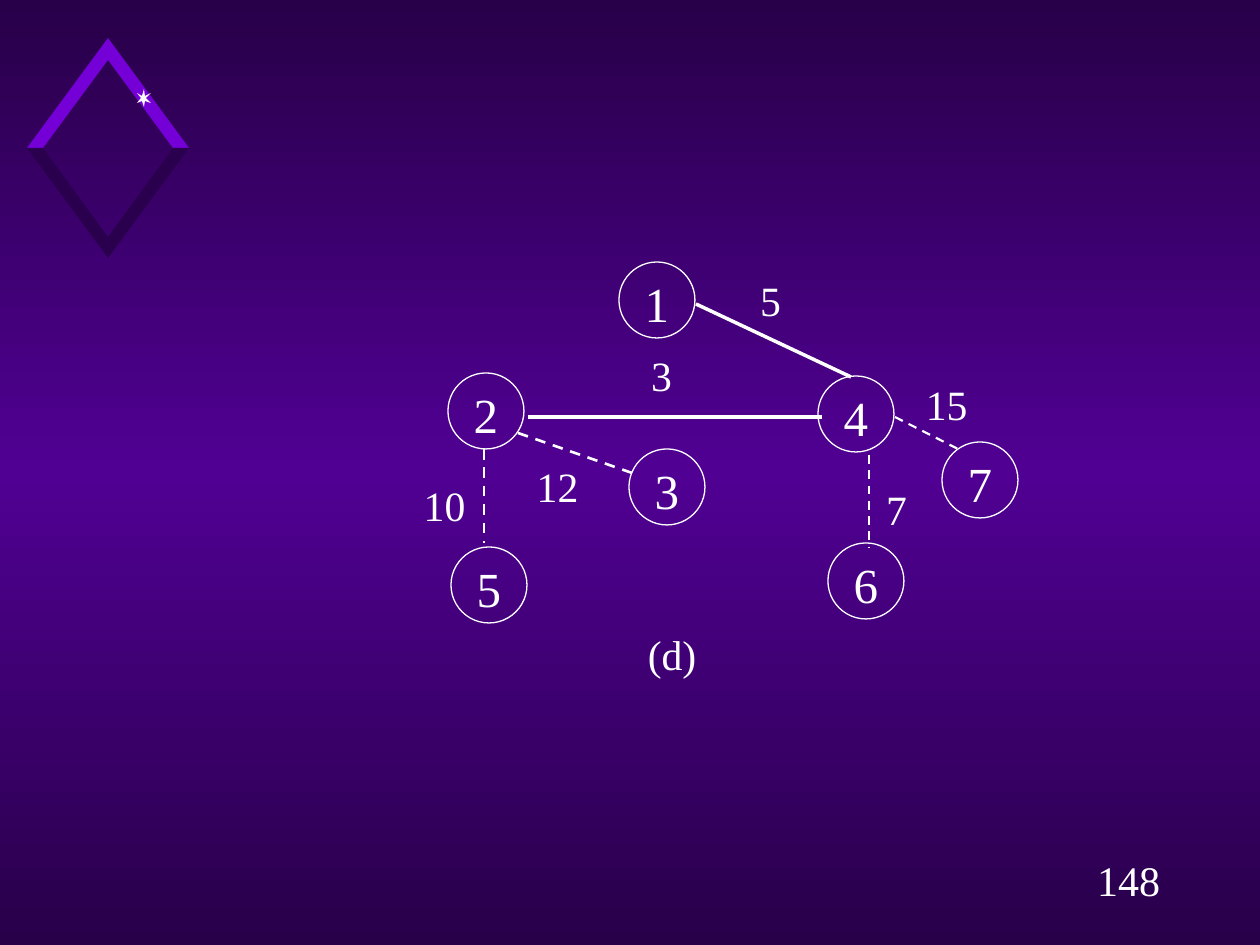
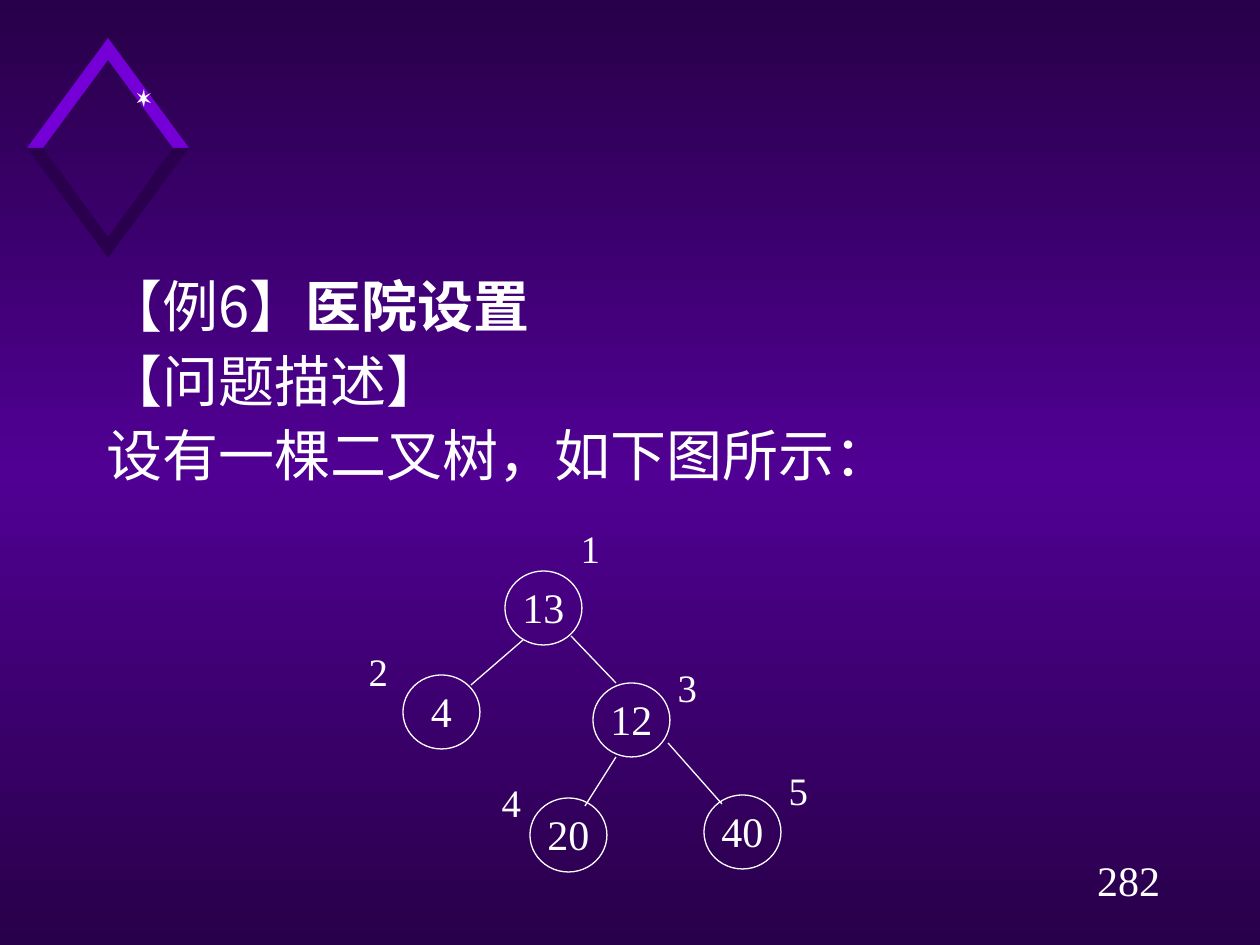
"""Build two slides: a weighted graph and a binary tree exercise."""
from copy import deepcopy

from lxml import etree
from pptx import Presentation
from pptx import util as u
from pptx.dml.color import RGBColor
from pptx.enum import dml, shapes, text
from pptx.oxml import ns

PX = u.Inches(1) / 126
WHITE, DARK, MIDDLE = "FFFFFF", "280049", "500093"
UPPER, LOWER, SPARKLE = "7500D7", "2A004E", "F9F9F9"
SERIF, SANS = "Times New Roman", "Noto Sans CJK SC"
CENTER, JUSTIFY, LEFT = text.PP_ALIGN.CENTER, text.PP_ALIGN.JUSTIFY, text.PP_ALIGN.LEFT
DASH = dml.MSO_LINE.DASH


def paint(fill, color):
    fill.solid()
    fill.fore_color.rgb = RGBColor.from_string(color)


def write(paragraph, words, size=24, font=SERIF, align=CENTER, bold=False):
    paragraph.alignment = align
    run = paragraph.add_run()
    run.text = words
    run.font.size, run.font.bold, run.font.name = u.Pt(size), bold, font
    paint(run.font.fill, WHITE)
    east_asian = etree.SubElement(run.font._element, ns.qn("a:ea"))
    east_asian.set("typeface", font)


deck = Presentation()
deck.slide_width, deck.slide_height = u.Inches(10), u.Inches(7.5)

backdrop = deck.slide_master.background.fill
backdrop.gradient()
backdrop.gradient_angle = 90
stop_list = deck.slide_master.element.find(".//" + ns.qn("a:gsLst"))
stop_list.append(deepcopy(stop_list[0]))
for stop, position, shade in zip(backdrop.gradient_stops, (0, 0.5, 1), (DARK, MIDDLE, DARK)):
    stop.position = position
    stop.color.rgb = RGBColor.from_string(shade)

emblem = []
for side in (1, -1):
    inner, outer = 108 + side * 65, 108 + side * 81
    emblem.append((UPPER, [(108, 60), (108, 38), (outer, 148), (inner, 148)]))
    emblem.append((LOWER, [(inner, 148), (outer, 148), (108, 258), (108, 237)]))
emblem.append((SPARKLE, [
    (137, 93), (142, 96), (144, 89), (145, 96), (151, 93), (146, 98),
    (151, 103), (145, 101), (144, 107), (142, 101), (137, 103), (141, 98)]))

graph = {
    "number": "148",
    "layout": 6,
    "labels": [
        (69, 50, 23.8, [("12", 523, 461), ("7", 862, 484), ("10", 410, 480),
                        ("15", 912, 379), ("3", 627, 350), ("5", 736, 275)]),
        (120, 54, 23.8, [("(d)", 612, 629)]),
    ],
    "node_format": (76, 76, 28),
    "nodes": [("1", 619, 262), ("2", 448, 373), ("7", 942, 442), ("4", 818, 376),
              ("5", 451, 547), ("3", 629, 449), ("6", 828, 543)],
    "edges": [
        (2, None, [(696, 304, 851, 377), (528, 417, 822, 417)]),
        (1.25, DASH, [(869, 455, 869, 547), (895, 417, 958, 449)]),
        (1.5, DASH, [(484, 449, 484, 543), (518, 433, 635, 474)]),
    ],
}
tree = {
    "number": "282",
    "layout": 1,
    "labels": [
        (63, 47, 22.2, [("1", 559, 525), ("2", 347, 648), ("3", 656, 664),
                        ("4", 480, 779), ("5", 767, 767)]),
    ],
    "node_format": (77, 74, 24),
    "nodes": [("13", 505, 571), ("4", 403, 675), ("12", 593, 683),
              ("20", 530, 798), ("40", 704, 795)],
    "edges": [
        (0.75, None, [(523, 640, 471, 685), (571, 636, 616, 683),
                      (616, 757, 585, 806), (668, 743, 722, 804)]),
    ],
}

for diagram in (graph, tree):
    slide = deck.slides.add_slide(deck.slide_layouts[diagram["layout"]])

    for color, points in emblem:
        builder = slide.shapes.build_freeform(*points[0], scale=PX)
        builder.add_line_segments(points[1:], close=True)
        facet = builder.convert_to_shape()
        facet.shadow.inherit = False
        paint(facet.fill, color)
        facet.line.fill.background()

    page_number = slide.shapes.add_textbox(*[round(v * PX) for v in (1081, 848, 95, 63)])
    page_number.text_frame.word_wrap = True
    write(page_number.text_frame.paragraphs[0], diagram["number"])

    captions = []
    for width, height, size, labels in diagram["labels"]:
        for words, left, top in labels:
            box = [round(v * PX) for v in (left, top, width, height)]
            captions.append((slide.shapes.add_textbox(*box), words, size))
    width, height, size = diagram["node_format"]
    for words, left, top in diagram["nodes"]:
        box = [round(v * PX) for v in (left, top, width, height)]
        node = slide.shapes.add_shape(shapes.MSO_SHAPE.OVAL, *box)
        node.shadow.inherit = False
        node.fill.background()
        paint(node.line.fill, WHITE)
        node.line.width = u.Pt(0.75)
        captions.append((node, words, size))
    for holder, words, size in captions:
        frame = holder.text_frame
        frame.word_wrap = True
        frame.vertical_anchor = text.MSO_ANCHOR.TOP
        frame.margin_left = frame.margin_right = frame.margin_top = frame.margin_bottom = 0
        write(frame.paragraphs[0], words, size)

    for weight, dash, edges in diagram["edges"]:
        for ends in edges:
            edge = slide.shapes.add_connector(
                shapes.MSO_CONNECTOR.STRAIGHT, *[round(v * PX) for v in ends])
            paint(edge.line.fill, WHITE)
            edge.line.width = u.Pt(weight)
            edge.line.dash_style = dash
            etree.SubElement(edge._element.spPr, ns.qn("a:effectLst"))

heading, exercise = slide.placeholders
heading._element.getparent().remove(heading._element)
exercise.left, exercise.top, exercise.width, exercise.height = [
    round(v * PX) for v in (94, 273, 1071, 231)]
frame = exercise.text_frame
frame.auto_size = text.MSO_AUTO_SIZE.NONE
frame.vertical_anchor = text.MSO_ANCHOR.TOP
statement = [
    (JUSTIFY, [("【例6】", False), ("医院设置", True)]),
    (JUSTIFY, [("【问题描述】", False)]),
    (LEFT, [("设有一棵二叉树，如下图所示：", False)]),
]
for index, (align, parts) in enumerate(statement):
    paragraph = frame.add_paragraph() if index else frame.paragraphs[0]
    paragraph.line_spacing = 0.9
    paragraph.space_before = u.Pt(8 if index else 0)
    properties = paragraph._element.get_or_add_pPr()
    properties.set("marL", str(round(48 * PX)))
    properties.set("indent", str(round(-48 * PX)))
    etree.SubElement(properties, ns.qn("a:buNone"))
    for words, bold in parts:
        write(paragraph, words, 32, SANS, align, bold)

deck.save("out.pptx")
